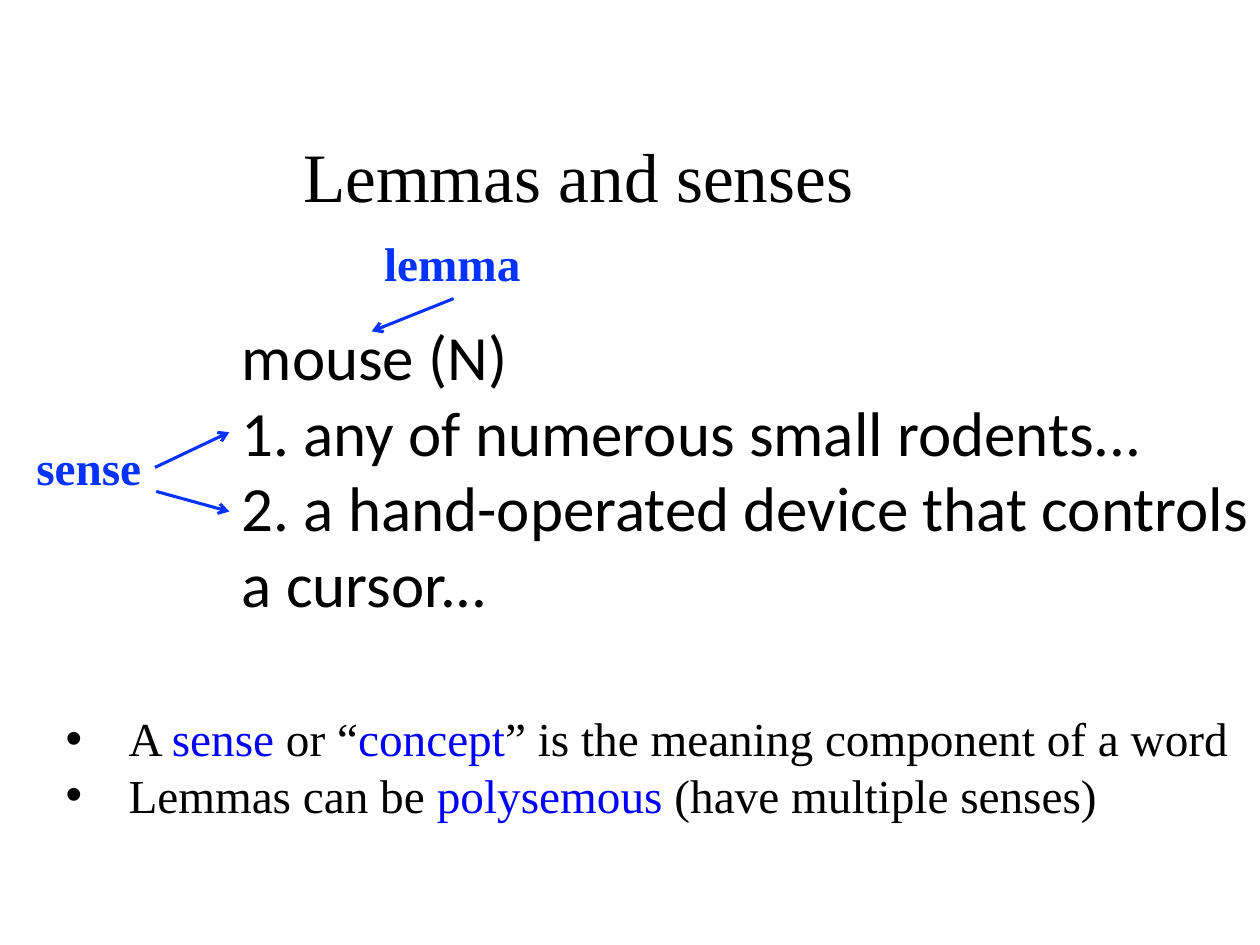
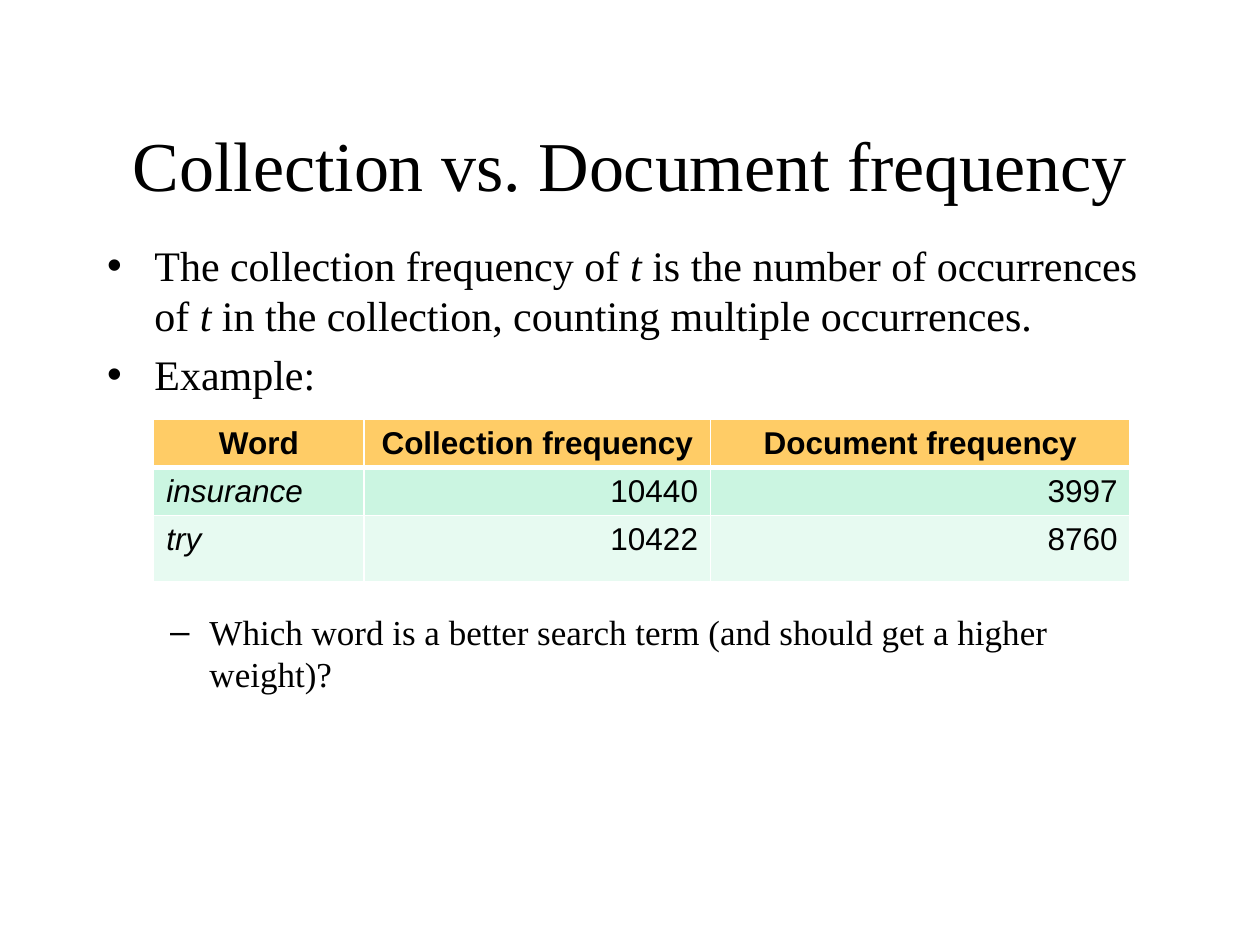
from typing import NamedTuple
from lxml.etree import SubElement
from pptx import Presentation
from pptx.dml.color import RGBColor
from pptx.enum.shapes import MSO_CONNECTOR
from pptx.enum.text import MSO_ANCHOR, MSO_AUTO_SIZE, PP_ALIGN
from pptx.oxml import parse_xml
from pptx.oxml.ns import nsdecls, qn
from pptx.util import Inches, Pt

WIDE, HIGH = Inches(10), Inches(7.5)
COLS, ROWS = 100, 75
SERIF, SANS, BODY = "Times New Roman", "Arial", "Calibri"
HUES = {
    "ink": "000000", "label": "0432FF", "term": "0000FF", "rule": "FFFFFF",
    "head": "FFCC66", "band": "CBF5E1", "pale": "E7FAF1",
}


class Box(NamedTuple):
    col: float
    row: float
    wide: float
    high: float


class Bit(NamedTuple):
    text: str
    hue: str = "ink"
    bold: bool = False
    slant: bool = False


class Item(NamedTuple):
    bits: tuple
    size: float
    level: int = 0
    gap: float = 0


class Label(NamedTuple):
    text: str
    box: Box


class Arrow(NamedTuple):
    left: float
    top: float
    right: float
    base: float


def across(cols: float) -> int:
    return round(cols * WIDE / COLS)


def down(rows: float) -> int:
    return round(rows * HIGH / ROWS)


def place(shape, box: Box) -> None:
    shape.left, shape.top = across(box.col), down(box.row)
    shape.width, shape.height = across(box.wide), down(box.high)


def write(para, bits: tuple, size: float, face: str = SERIF) -> None:
    for bit in bits:
        run = para.add_run()
        run.text = bit.text
        font = run.font
        font.name, font.size = face, Pt(size)
        font.bold, font.italic = bit.bold, bit.slant
        font.color.rgb = RGBColor.from_string(HUES[bit.hue])


def add_title(slide, text: str, size: float, box: Box) -> None:
    title = slide.shapes.title
    place(title, box)
    frame = title.text_frame
    frame.auto_size = MSO_AUTO_SIZE.NONE
    frame.vertical_anchor = MSO_ANCHOR.MIDDLE
    para = frame.paragraphs[0]
    para.alignment = PP_ALIGN.CENTER
    write(para, (Bit(text),), size)


def add_list(slide, items: tuple, box: Box, indent: float = 0) -> None:
    body = slide.placeholders[1]
    place(body, box)
    frame = body.text_frame
    frame.auto_size = MSO_AUTO_SIZE.NONE
    for rank, item in enumerate(items):
        para = frame.add_paragraph() if rank else frame.paragraphs[0]
        para.level, para.space_before = item.level, Pt(item.gap)
        if indent:
            props = para._p.get_or_add_pPr()
            props.set("marL", str(across(indent)))
            props.set("indent", str(-across(indent)))
        write(para, item.bits, item.size)


def add_box(slide, box: Box, wrap: bool):
    shape = slide.shapes.add_textbox(0, 0, 0, 0)
    place(shape, box)
    shape.text_frame.word_wrap = wrap
    return shape.text_frame.paragraphs[0]


def add_arrow(slide, arrow: Arrow) -> None:
    line = slide.shapes.add_connector(
        MSO_CONNECTOR.STRAIGHT, across(arrow.left), down(arrow.top),
        across(arrow.right), down(arrow.base))
    line.line.width = Pt(1.75)
    line.line.color.rgb = RGBColor.from_string(HUES["label"])
    SubElement(line.line._get_or_add_ln(), qn("a:tailEnd"), type="arrow")
    SubElement(line._element.spPr, qn("a:effectLst"))


def set_edge(cell, side: str, width: float, place_at: int) -> None:
    edge = parse_xml(
        f'<a:ln{side} {nsdecls("a")} w="{Pt(width)}"><a:solidFill>'
        f'<a:srgbClr val="{HUES["rule"]}"/></a:solidFill></a:ln{side}>')
    cell._tc.get_or_add_tcPr().insert(place_at, edge)


def add_grid(slide, rows: tuple, box: Box, cols: tuple, highs: tuple) -> None:
    frame = slide.shapes.add_table(len(rows), len(cols), 0, 0, 1, 1)
    place(frame, box)
    grid = frame.table
    for col, wide in zip(grid.columns, cols):
        col.width = across(wide)
    for rank, (texts, high) in enumerate(zip(rows, highs)):
        grid.rows[rank].height = down(high)
        hue = ("head", "band", "pale")[rank]
        for spot, text in enumerate(texts):
            cell = grid.cell(rank, spot)
            cell.fill.solid()
            cell.fill.fore_color.rgb = RGBColor.from_string(HUES[hue])
            edges = {"L": 1, "R": 1, "T": 3 if rank == 1 else 1,
                     "B": 3 if rank == 0 else 1}
            for order, (side, width) in enumerate(edges.items()):
                set_edge(cell, side, width, order)
            para = cell.text_frame.paragraphs[0]
            if rank == 0:
                para.alignment = PP_ALIGN.CENTER
            else:
                para.alignment = PP_ALIGN.RIGHT if spot else PP_ALIGN.LEFT
            bit = Bit(text, bold=rank == 0, slant=rank > 0 and spot == 0)
            write(para, (bit,), 18, SANS)


def draw_senses(slide) -> None:
    lines = ("mouse (N)", "1. any of numerous small rodents...",
             "2. a hand-operated device that controls a cursor...")
    para = add_box(slide, Box(18.2, 24.7, 82.8, 25.2), True)
    for rank, line in enumerate(lines):
        if rank:
            para.add_line_break()
        write(para, (Bit(line),), 36, BODY)
    add_title(slide, "Lemmas and senses", 39.6, Box(8.1, 10.9, 75.6, 5.9))
    for label in (Label("sense", Box(1.9, 34.3, 10.4, 5.6)),
                  Label("lemma", Box(29.5, 18.1, 13, 5.6))):
        para = add_box(slide, label.box, False)
        write(para, (Bit(label.text, "label", bold=True),), 27)
    for arrow in (Arrow(12.3, 37.1, 18.2, 34.3), Arrow(12.4, 39, 18.2, 40.6),
                  Arrow(36, 23.7, 29.5, 26.3)):
        add_arrow(slide, arrow)
    add_list(slide, (
        Item((Bit("A "), Bit("sense", "term"), Bit(" or “"),
              Bit("concept", "term"),
              Bit("” is the meaning component of a word")), 27),
        Item((Bit("Lemmas can be "), Bit("polysemous", "term"),
              Bit(" (have multiple senses)")), 27),
    ), Box(4.2, 55.8, 95.2, 10.1), 5)


def draw_counts(slide) -> None:
    add_title(slide, "Collection vs. Document frequency", 40,
              Box(7.5, 6.7, 85, 12.5))
    term = Bit("t", slant=True)
    add_list(slide, (
        Item((Bit("The collection frequency of "), term,
              Bit(" is the number of occurrences of "), term,
              Bit(" in the collection, counting multiple occurrences.")), 24),
        Item((Bit("Example:"),), 24, gap=4.8),
        Item((Bit("Which word is a better search term "
                  "(and should get a higher weight)?"),), 20, 1, 121),
    ), Box(7.5, 18.5, 85, 53.1))
    add_grid(slide, (
        ("Word", "Collection frequency", "Document frequency"),
        ("insurance", "10440", "3997"),
        ("try", "10422", "8760"),
    ), Box(12.2, 33.3, 77.5, 12.6), (16.7, 27.5, 33.3), (3.7, 3.6, 5.3))


def main() -> None:
    deck = Presentation()
    deck.slide_width, deck.slide_height = WIDE, HIGH
    for draw in (draw_senses, draw_counts):
        draw(deck.slides.add_slide(deck.slide_layouts[1]))
    deck.save("out.pptx")


if __name__ == "__main__":
    main()
